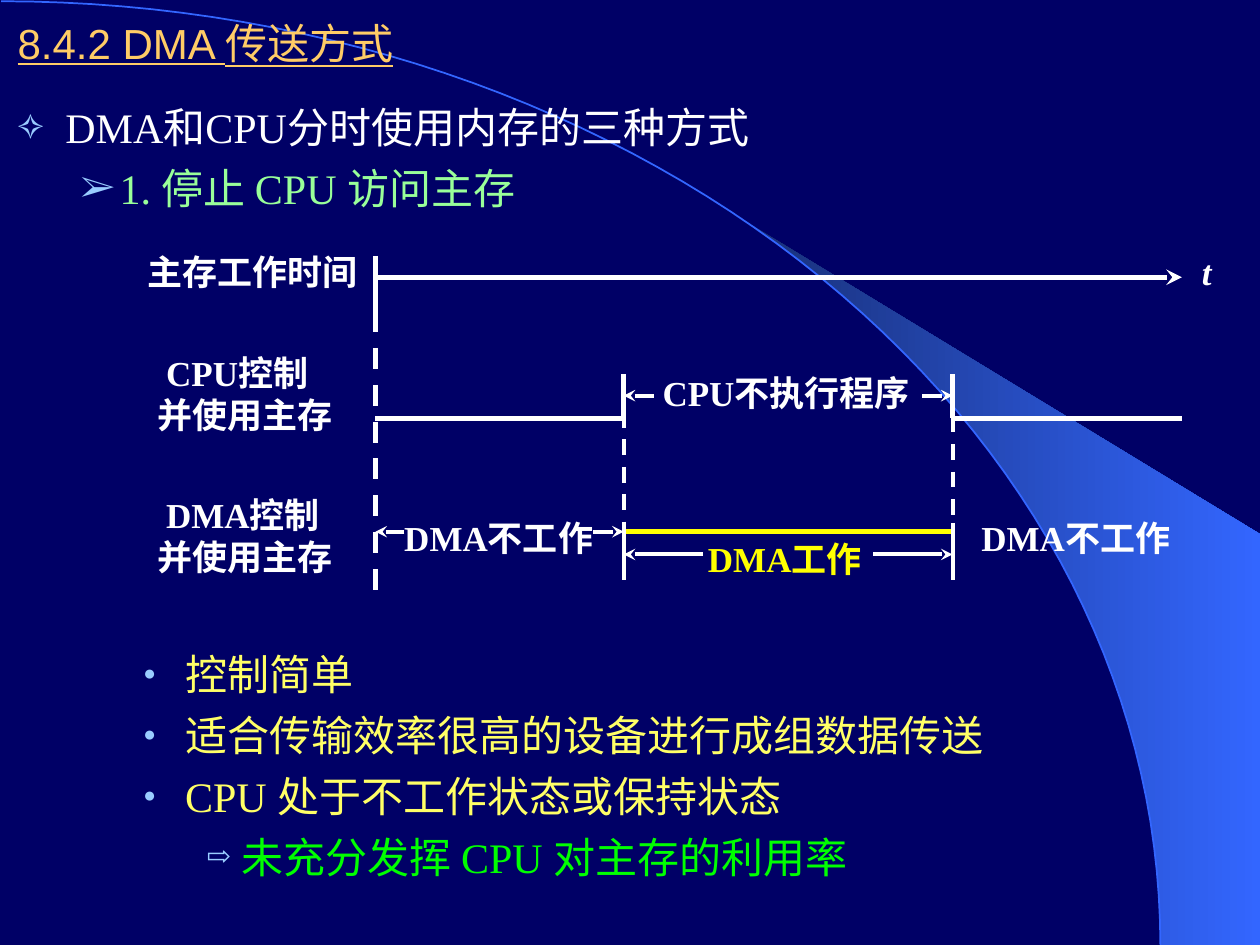
import math

import pptx
import pptx.dml.color
import pptx.enum.dml
import pptx.enum.shapes
import pptx.enum.text
import pptx.oxml.ns
import pptx.util
from lxml import etree

Inches = pptx.util.Inches
Pt = pptx.util.Pt

WHITE, YELLOW, BLUE = "FFFFFF", "FFFF00", "3366FF"
BULLET_COLOR = "99CCFF"
SERIF = "Times New Roman"
TITLE = "8.4.2 DMA 传送方式"

LEVELS = {
    "topic": {"left": 0.38, "hang": 0.38, "bullet": "✧", "percent": 80, "color": WHITE},
    "method": {"left": 0.81, "hang": 0.31, "bullet": "➢", "percent": 90, "color": "99FF99"},
    "feature": {"left": 1.33, "hang": 0.33, "bullet": "●", "percent": 50, "color": "FFFF66"},
    "result": {"left": 1.78, "hang": 0.28, "bullet": "⇨", "percent": 70, "color": "00FF00"},
}
OUTLINES = [
    (0.76, 1.1, [("topic", "DMA和CPU分时使用内存的三种方式"),
                 ("method", "1. 停止 CPU 访问主存")]),
    (5.1, 2.1, [("feature", "控制简单"),
                ("feature", "适合传输效率很高的设备进行成组数据传送"),
                ("feature", "CPU 处于不工作状态或保持状态"),
                ("result", "未充分发挥 CPU 对主存的利用率")]),
]

START, STOP, RESUME, END = 2.98, 4.95, 7.56, 9.38
TIME_Y, CPU_Y, DMA_Y = 2.2, 3.32, 4.22
CPU_HIGH, CPU_ARROW_Y, DMA_ARROW_Y = 2.97, 3.14, 4.4

LABELS = [
    ("主存工作时间", 1.07, 1.94, 1.87, WHITE),
    ("CPU控制\n并使用主存", 1.15, 2.74, 1.59, WHITE),
    ("DMA控制\n并使用主存", 1.15, 3.87, 1.59, WHITE),
    ("CPU不执行程序", 5.16, 2.9, 2.25, WHITE),
    ("DMA不工作", 3.11, 4.05, 1.85, WHITE),
    ("DMA不工作", 7.69, 4.05, 1.85, WHITE),
    ("DMA工作", 5.52, DMA_Y, 1.52, YELLOW),
    ("t", 9.44, 1.94, 0.27, WHITE),
]
SOLID_LINES = [
    (START, 2.03, START, 2.47, WHITE, 3),
    (START, CPU_Y, STOP, CPU_Y, WHITE, 3),
    (RESUME, CPU_Y, END, CPU_Y, WHITE, 3),
    (STOP, CPU_HIGH, STOP, CPU_Y, WHITE, 3),
    (RESUME, CPU_HIGH, RESUME, CPU_Y, WHITE, 3),
    (STOP, DMA_Y, RESUME, DMA_Y, YELLOW, 3),
    (STOP, 4.15, STOP, 4.6, WHITE, 2.25),
    (RESUME, 4.15, RESUME, 4.6, WHITE, 2.25),
]
DASHED_LINES = [
    (START, 2.47, START, 4.77, WHITE, 3),
    (STOP, 3.27, STOP, 4.24, WHITE, 2.25),
    (RESUME, 3.09, RESUME, 4.24, WHITE, 2.25),
]
ARROWS = [
    (START, TIME_Y, END, TIME_Y, WHITE, 3),
    (5.19, CPU_ARROW_Y, STOP, CPU_ARROW_Y, WHITE, 2.25),
    (7.32, CPU_ARROW_Y, RESUME, CPU_ARROW_Y, WHITE, 2.25),
    (3.21, DMA_Y, START, DMA_Y, WHITE, 2.25),
    (4.71, DMA_Y, STOP, DMA_Y, WHITE, 2.25),
    (5.58, DMA_ARROW_Y, STOP, DMA_ARROW_Y, WHITE, 2.25),
    (6.93, DMA_ARROW_Y, RESUME, DMA_ARROW_Y, WHITE, 2.25),
]


def rgb(value):
    return pptx.dml.color.RGBColor.from_string(value)


def add_element(parent, tag, **attributes):
    return etree.SubElement(parent, pptx.oxml.ns.qn(tag), attributes)


def style_font(font, name, size, color):
    font.name = name
    font.size = Pt(size)
    font.color.rgb = rgb(color)


def curve_points(first_degree):
    steps = 60
    angles = [math.radians(first_degree + (90 - first_degree) * step / steps)
              for step in range(steps + 1)]
    return [(0.01 + 9.2 * math.sin(angle), 7.5 - 7.49 * math.cos(angle)) for angle in angles]


def add_outline(slide, points, close):
    corners = [(Inches(x), Inches(y)) for x, y in points]
    builder = slide.shapes.build_freeform(*corners[0])
    builder.add_line_segments(corners[1:], close=close)
    shape = builder.convert_to_shape()
    shape.shadow.inherit = False
    return shape


def add_backdrop(slide):
    slide.background.fill.solid()
    slide.background.fill.fore_color.rgb = rgb("000066")
    beam = add_outline(slide, curve_points(39.8) + [(10, 7.5), (10, 4.24)], True)
    beam.line.fill.background()
    beam.fill.gradient()
    beam.fill.gradient_angle = 0
    for stop, position, color in zip(beam.fill.gradient_stops, (0, 1), ("182F76", BLUE)):
        stop.position = position
        stop.color.rgb = rgb(color)
    arc = add_outline(slide, curve_points(0), False)
    arc.fill.background()
    arc.line.color.rgb = rgb(BLUE)
    arc.line.width = Pt(1)


def format_title(title):
    title.left, title.top, title.width, title.height = map(Inches, (0.04, 0.08, 9.84, 0.52))
    title.element.getparent().append(title.element)
    frame = title.text_frame
    frame.text = TITLE
    frame.auto_size = pptx.enum.text.MSO_AUTO_SIZE.NONE
    frame.vertical_anchor = pptx.enum.text.MSO_ANCHOR.MIDDLE
    paragraph = frame.paragraphs[0]
    paragraph.alignment = pptx.enum.text.PP_ALIGN.LEFT
    style_font(paragraph.runs[0].font, "Arial", 24, "FFCC66")
    paragraph.runs[0].font.underline = True


def add_bulleted_text(slide, top, height, items):
    frame = slide.shapes.add_textbox(*map(Inches, (0.04, top, 9.88, height))).text_frame
    frame.word_wrap = True
    frame.text = "\n".join(text for _, text in items)
    for index, (paragraph, (level, _)) in enumerate(zip(frame.paragraphs, items)):
        style = LEVELS[level]
        properties = paragraph._p.get_or_add_pPr()
        properties.set("marL", str(Inches(style["left"])))
        properties.set("indent", str(-Inches(style["hang"])))
        add_element(add_element(properties, "a:buClr"), "a:srgbClr", val=BULLET_COLOR)
        add_element(properties, "a:buSzPct", val=str(style["percent"] * 1000))
        add_element(properties, "a:buFont", typeface=SERIF)
        add_element(properties, "a:buChar", char=style["bullet"])
        if index:
            paragraph.space_before = Pt(6)
        style_font(paragraph.runs[0].font, SERIF, 24, style["color"])


def add_label(slide, text, left, top, width, color):
    lines = text.count("\n") + 1
    height = 0.11 + 0.33 * lines
    frame = slide.shapes.add_textbox(*map(Inches, (left, top, width, height))).text_frame
    frame.word_wrap = False
    frame.auto_size = pptx.enum.text.MSO_AUTO_SIZE.NONE
    frame.text = text
    if lines > 1:
        frame.paragraphs[0]._p.get_or_add_pPr().set("marL", str(Inches(0.07)))
    for paragraph in frame.paragraphs:
        paragraph.alignment = pptx.enum.text.PP_ALIGN.LEFT
        font = paragraph.runs[0].font
        style_font(font, SERIF, 20, color)
        font.bold = True
        font.italic = text == "t"


def add_line(slide, x1, y1, x2, y2, color, width):
    connector = slide.shapes.add_connector(
        pptx.enum.shapes.MSO_CONNECTOR.STRAIGHT, *map(Inches, (x1, y1, x2, y2)))
    connector.line.color.rgb = rgb(color)
    connector.line.width = Pt(width)
    add_element(connector.element.spPr, "a:effectLst")
    return connector


def main():
    presentation = pptx.Presentation()
    presentation.slide_width, presentation.slide_height = Inches(10), Inches(7.5)
    slide = presentation.slides.add_slide(presentation.slide_layouts[5])
    add_backdrop(slide)
    format_title(slide.shapes.title)
    for outline in OUTLINES:
        add_bulleted_text(slide, *outline)
    for label in LABELS:
        add_label(slide, *label)
    for line in SOLID_LINES:
        add_line(slide, *line)
    for line in DASHED_LINES:
        add_line(slide, *line).line.dash_style = pptx.enum.dml.MSO_LINE.DASH
    for arrow in ARROWS:
        connector = add_line(slide, *arrow)
        add_element(connector.line._get_or_add_ln(), "a:tailEnd", type="stealth")
    presentation.save("out.pptx")


if __name__ == "__main__":
    main()
